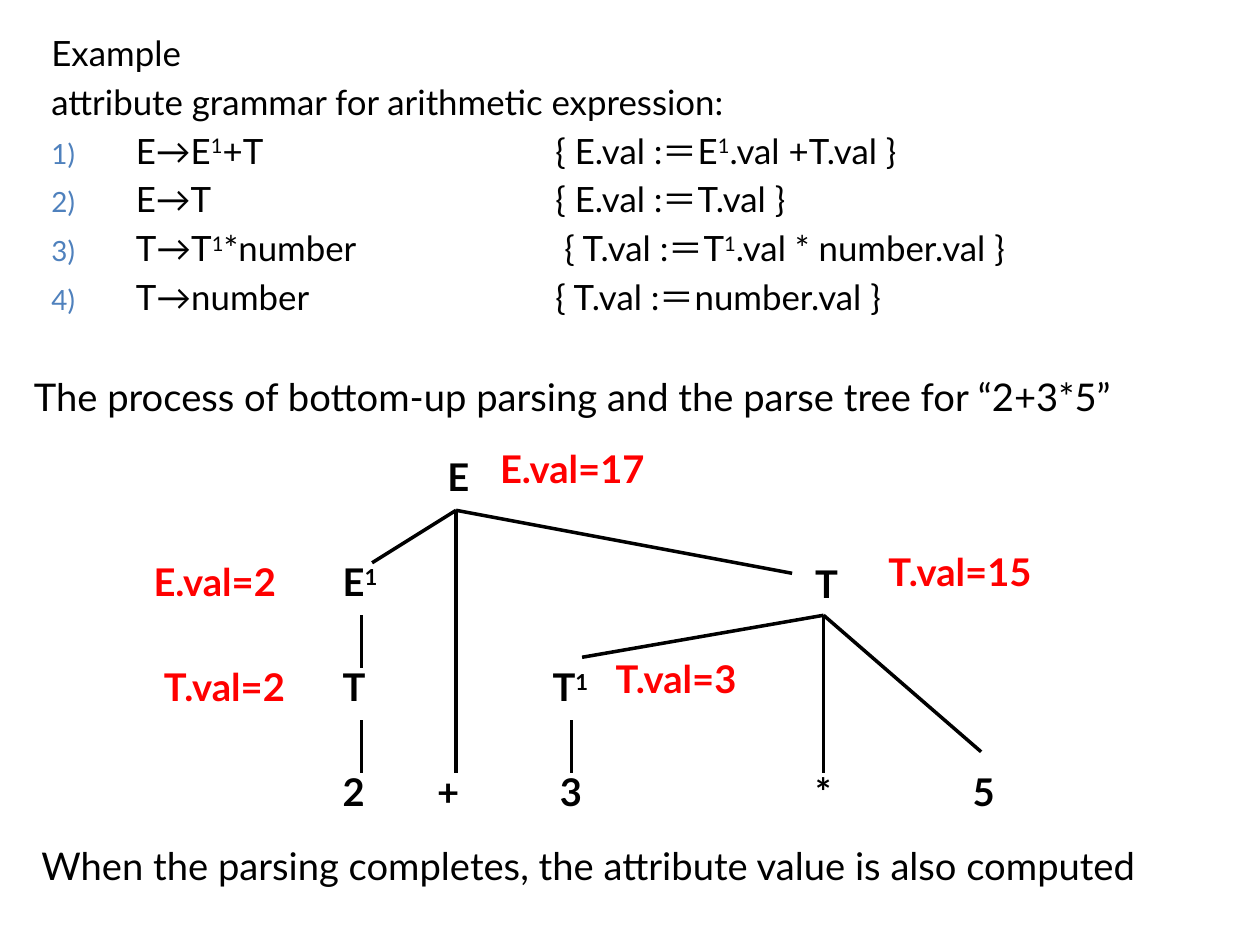
from lxml.etree import SubElement
from pptx import Presentation
from pptx.dml.color import RGBColor
from pptx.enum.shapes import MSO_CONNECTOR as Connector
from pptx.enum.text import PP_ALIGN as Align
from pptx.oxml.ns import qn
from pptx.util import Inches, Pt

COLORS = {"ink": "000000", "value": "FF0000", "number": "4F81BD"}
CELL = 1 / 12                  # tree grid step, inches
TREE_LEFT, TREE_TOP = 2.87, 4.05
HANG = Inches(0.67)
RULE_TAB = Inches(4)


class SlideWriter:
    font = "Lato"
    body_size, large_size = 19.9, 21.8

    def __init__(self, deck):
        self.deck = deck
        self.slide = deck.slides.add_slide(deck.slide_layouts[6])

    def box(self, left, top, width, height):
        """Add a text box; lengths are shares of the slide's size."""
        wide, high = self.deck.slide_width, self.deck.slide_height
        box = self.slide.shapes.add_textbox(
            int(left * wide), int(top * high), int(width * wide), int(height * high))
        box.text_frame.word_wrap = True
        return box.text_frame

    def spans(self, para, text, size, color="ink", bold=False):
        """Write runs; every second part between ^ marks is raised."""
        for index, part in enumerate(text.split("^")):
            span = para.add_run()
            span.text = part
            font = span.font
            font.name, font.size, font.bold = self.font, Pt(size), bold
            font.color.rgb = RGBColor.from_string(COLORS[color])
            if index % 2:
                font._element.set("baseline", "30000")

    def numbering(self, para):
        para.alignment = Align.JUSTIFY
        props = para._p.get_or_add_pPr()
        props.set("marL", str(HANG))
        props.set("indent", str(-HANG))
        color = SubElement(props, qn("a:buClr"))
        SubElement(color, qn("a:srgbClr"), val=COLORS["number"])
        SubElement(props, qn("a:buSzPct"), val="80000")
        SubElement(props, qn("a:buAutoNum"), type="arabicParenR")
        tabs = SubElement(props, qn("a:tabLst"))
        SubElement(tabs, qn("a:tab"), pos=str(RULE_TAB), algn="l")

    def grammar(self, headings, rules):
        frame = self.box(0.031, 0.027, 0.967, 0.388)
        lines = headings + ["\t".join(rule) for rule in rules]
        for index, line in enumerate(lines):
            para = frame.paragraphs[0] if index == 0 else frame.add_paragraph()
            if index >= len(headings):
                self.numbering(para)
            if index:
                para.space_before = Pt(4)
            self.spans(para, line, self.body_size)

    def sentence(self, text, left, top):
        frame = self.box(left, top, 0.955, 0.063)
        self.spans(frame.paragraphs[0], text, self.large_size)

    def label(self, text, column, row, width=8, color="ink"):
        """Add a bold tree label; lengths are grid columns and rows."""
        frame = self.box((TREE_LEFT + column * CELL) / 10, (TREE_TOP + row * CELL) / 7.5,
                         width * CELL / 10, 0.063)
        self.spans(frame.paragraphs[0], text, self.large_size, color, bold=True)

    def branch(self, start, end):
        points = [Inches(origin + step * CELL) for point in (start, end)
                  for origin, step in zip((TREE_LEFT, TREE_TOP), point)]
        line = self.slide.shapes.add_connector(Connector.STRAIGHT, *points)
        line.line.width = Pt(2)
        line.line.color.rgb = RGBColor.from_string(COLORS["ink"])
        SubElement(line._element.spPr, qn("a:effectLst"))


def main():
    deck = Presentation()
    deck.slide_width, deck.slide_height = Inches(10), Inches(7.5)
    page = SlideWriter(deck)

    # Attribute grammar
    page.grammar(
        ["Example", "attribute grammar for arithmetic expression:"],
        [("E→E^1^+T", "{ E.val :＝E^1^.val +T.val }"),
         ("E→T", "{ E.val :＝T.val }"),
         ("T→T^1^*number", " { T.val :＝T^1^.val * number.val }"),
         ("T→number", "{ T.val :＝number.val }")])

    # Sentences above and below the tree
    page.sentence("The process of bottom-up parsing and the parse tree for “2+3*5”",
                  0.017, 0.389)
    page.sentence("When the parsing completes, the attribute value is also computed",
                  0.023, 0.885)

    # Tree branches, from each parent to its children
    root, term = (9, 0), (44, 10)
    children = {
        root: [(1, 5), (9, 25), (41, 6)],
        term: [(21, 14), (44, 25), (59, 23)],
        (0, 10): [(0, 15)],
        (0, 20): [(0, 25)],
        (20, 20): [(20, 25)],
    }
    for parent, ends in children.items():
        for end in ends:
            page.branch(parent, end)

    # Tree nodes
    for text, column, row in [
            ("E", 7, -6), ("E^1^", -3, 4), ("T", 42, 4.2), ("T", -3, 14), ("T^1^", 17, 14),
            ("2", -3, 24), ("+", 6, 24), ("3", 17.7, 24), ("*", 42, 24), ("5", 57, 24)]:
        page.label(text, column, row)

    # Computed attribute values
    for text, column, row in [
            ("E.val=17", 12, -6.8), ("E.val=2", -21, 4), ("T.val=15", 49, 3),
            ("T.val=2", -20, 14), ("T.val=3", 23, 13.2)]:
        page.label(text, column, row, width=20, color="value")

    deck.save("out.pptx")


if __name__ == "__main__":
    main()
